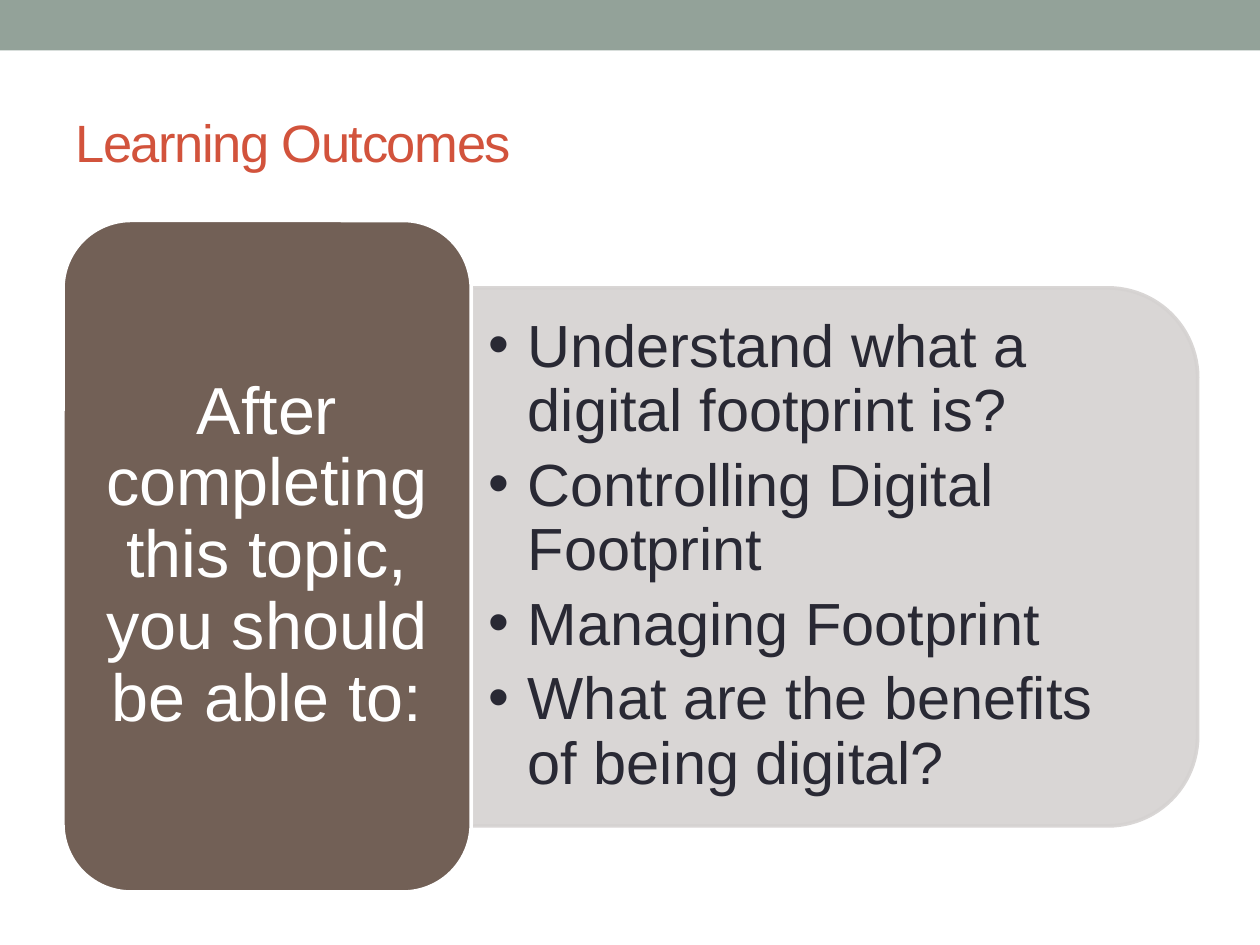
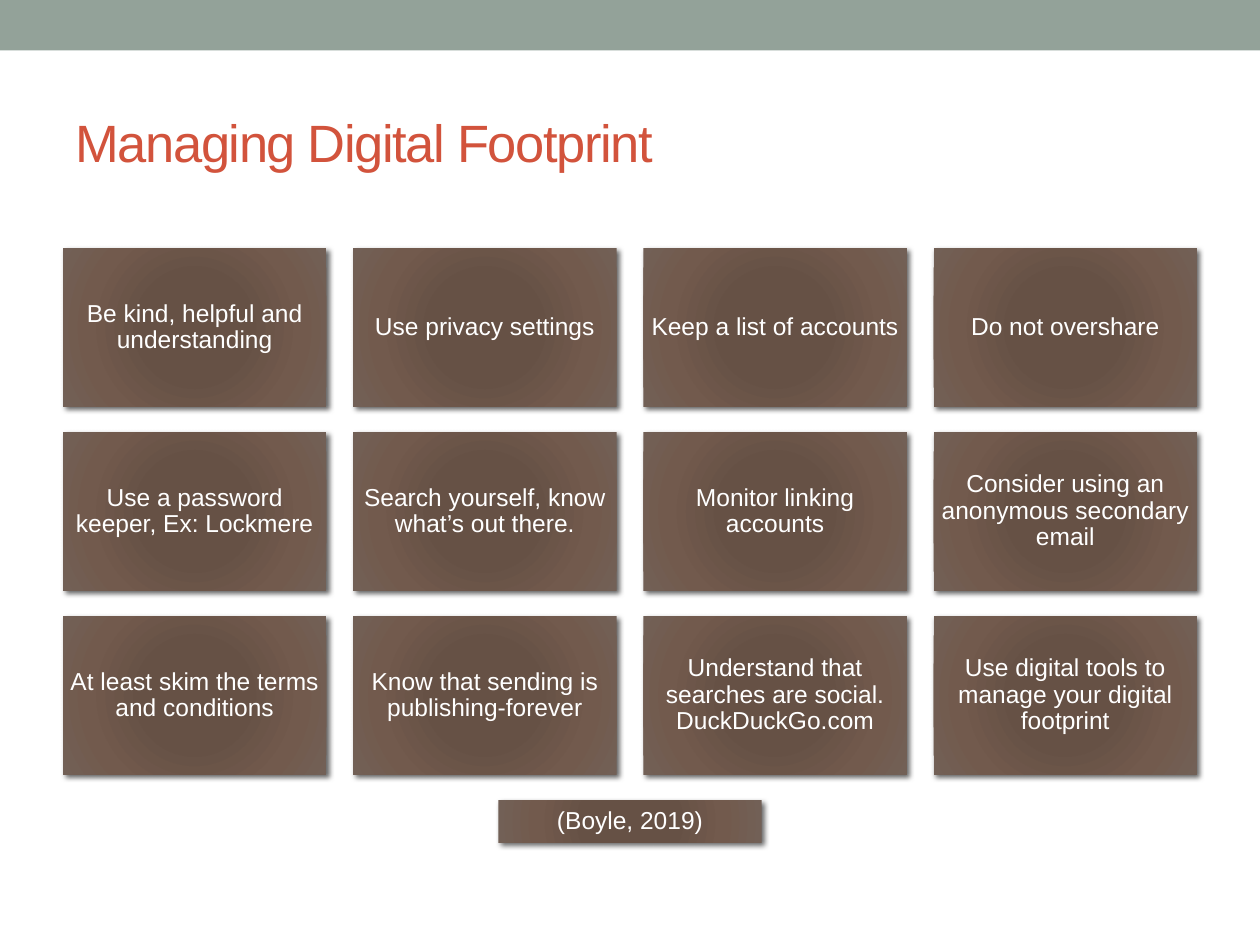
import pptx
import pptx.util
import pptx.oxml
import pptx.oxml.ns
import pptx.dml.color
import pptx.enum.shapes
import pptx.enum.text

Inches = pptx.util.Inches
Pt = pptx.util.Pt
RGBColor = pptx.dml.color.RGBColor
SHAPE = pptx.enum.shapes.MSO_SHAPE
ALIGN = pptx.enum.text.PP_ALIGN
MIDDLE = pptx.enum.text.MSO_ANCHOR.MIDDLE

FONT = "Arial"
WHITE = RGBColor(0xFF, 0xFF, 0xFF)
SAGE = RGBColor(0x93, 0xA2, 0x99)
RUST = RGBColor(0xD2, 0x53, 0x3C)
BROWN = RGBColor(0x72, 0x60, 0x56)
PALE = RGBColor(0xD5, 0xD2, 0xD1)
INK = RGBColor(0x29, 0x29, 0x34)
TILE_STOPS = [
    (0, RGBColor(0x68, 0x50, 0x44)),
    (34, RGBColor(0x66, 0x51, 0x45)),
    (70, RGBColor(0x72, 0x5A, 0x4D)),
    (100, BROWN),
]

MARGIN, CONTENT_W = 0.5, 9
TILE_W, TILE_H, TILE_TOP = 2.09, 1.26, 1.97
COLUMNS = 4
COLUMN_STEP = (CONTENT_W - TILE_W) / (COLUMNS - 1)
ROW_STEP = 1.46

OUTCOMES = [
    "Understand what a digital footprint is?",
    "Controlling Digital Footprint",
    "Managing Footprint",
    "What are the benefits of being digital?",
]
TIPS = [
    "Be kind, helpful and understanding",
    "Use privacy settings",
    "Keep a list of accounts",
    "Do not overshare",
    "Use a password keeper, Ex: Lockmere",
    "Search yourself, know what’s out there.",
    "Monitor linking accounts",
    "Consider using an anonymous secondary email",
    "At least skim the terms and conditions",
    "Know that sending is publishing-forever",
    "Understand that searches are social. DuckDuckGo.com",
    "Use digital tools to manage your digital footprint",
]


def xml(body):
    """Parse one DrawingML element written with the a: prefix."""
    return pptx.oxml.parse_xml(body.replace(">", f" {pptx.oxml.ns.nsdecls('a')}>", 1))


def set_attributes(target, values):
    """Set each named attribute of target."""
    for name, value in values.items():
        setattr(target, name, value)


def add_shape(slide, kind, box, fill=None, line=None):
    """Add a flat preset shape with an optional solid fill and outline."""
    s = slide.shapes.add_shape(kind, *map(Inches, box))
    s.shadow.inherit = False
    if fill is not None:
        s.fill.solid()
        s.fill.fore_color.rgb = fill
    if line is None:
        s.line.fill.background()
    else:
        s.line.color.rgb = line
        s.line.width = Pt(2.08)
    return s


def write(sp, texts, size, color, insets=(0.1, 0.05), align=ALIGN.CENTER,
          spacing=0.9, bullet=False, tracking=None):
    """Write one paragraph per text, centred vertically in the shape."""
    tf = sp.text_frame
    side, top = map(Inches, insets)
    set_attributes(tf, {
        "word_wrap": True, "vertical_anchor": MIDDLE,
        "margin_left": side, "margin_right": side,
        "margin_top": top, "margin_bottom": top,
    })
    for i, text in enumerate(texts):
        p = tf.add_paragraph() if i else tf.paragraphs[0]
        set_attributes(p, {"alignment": align, "line_spacing": spacing})
        if bullet:
            set_attributes(p, {"level": 1, "space_after": Pt(6)})
            pPr = p._p.get_or_add_pPr()
            pPr.set("marL", str(Inches(0.31)))
            pPr.set("indent", str(-Inches(0.31)))
            pPr.append(xml('<a:buFont typeface="Arial"/>'.replace("/>", "></a:buFont>")))
            pPr.append(xml('<a:buChar char="•"></a:buChar>'))
        r = p.add_run()
        r.text = text
        set_attributes(r.font, {"name": FONT, "size": Pt(size)})
        r.font.color.rgb = color
        if tracking is not None:
            r._r.get_or_add_rPr().set("spc", str(tracking))


def add_titled_slide(prs, title):
    """Add a blank slide with the top band and its title."""
    slide = prs.slides.add_slide(prs.slide_layouts[6])
    add_shape(slide, SHAPE.RECTANGLE, (0, 0, 10, 0.4), SAGE)
    box = slide.shapes.add_textbox(*map(Inches, (MARGIN, 0.58, CONTENT_W, 1.08)))
    write(box, [title], 30, RUST, align=ALIGN.LEFT, spacing=1.0, tracking=-80)
    return slide


def add_outcome_panel(slide, outcomes):
    """Add the pale panel, rounded on its right, with the bulleted outcomes."""
    s = add_shape(slide, SHAPE.ROUND_2_SAME_RECTANGLE, (4.49, 1.54, 4.27, 5.76), PALE, PALE)
    s.rotation = 90
    for color in s._element.spPr.iter(pptx.oxml.ns.qn("a:srgbClr")):
        color.append(xml('<a:alpha val="90000"></a:alpha>'))
    box = slide.shapes.add_textbox(*map(Inches, (3.74, 2.49, 5.55, 3.85)))
    write(box, outcomes, 34, INK, (0.14, 0.07), ALIGN.LEFT, bullet=True)


def add_tile(slide, text, left, top, height=TILE_H):
    """Add a shaded tile with a soft shadow and centred text."""
    s = add_shape(slide, SHAPE.RECTANGLE, (left, top, TILE_W, height))
    stops = "".join(
        f'<a:gs pos="{pos * 1000}"><a:srgbClr val="{color}"/></a:gs>'
        for pos, color in TILE_STOPS)
    spPr = s._element.spPr
    spPr.find(pptx.oxml.ns.qn("a:prstGeom")).addnext(xml(
        f'<a:gradFill><a:gsLst>{stops}</a:gsLst><a:path path="circle">'
        '<a:fillToRect l="100000" t="100000" r="100000" b="100000"/>'
        '</a:path></a:gradFill>'))
    spPr.find(pptx.oxml.ns.qn("a:effectLst")).append(xml(
        f'<a:outerShdw blurRad="{Pt(3)}" dist="{Pt(2)}" dir="2700000">'
        '<a:srgbClr val="000000"><a:alpha val="60000"/></a:srgbClr></a:outerShdw>'))
    write(s, [text], 14, WHITE, (0.05, 0.06))


def build_outcomes(prs):
    """Build the learning outcomes slide."""
    slide = add_titled_slide(prs, "Learning Outcomes")
    add_outcome_panel(slide, OUTCOMES)
    s = add_shape(slide, SHAPE.ROUNDED_RECTANGLE, (MARGIN, 1.75, 3.24, 5.33), BROWN, WHITE)
    write(s, ["After completing this topic, you should be able to:"], 38, WHITE, (0.16, 0.08))


def build_tips(prs):
    """Build the grid of tips with the citation centred under it."""
    slide = add_titled_slide(prs, "Managing Digital Footprint")
    for i, tip in enumerate(TIPS):
        row, column = divmod(i, COLUMNS)
        add_tile(slide, tip, MARGIN + column * COLUMN_STEP, TILE_TOP + row * ROW_STEP)
    rows = len(TIPS) // COLUMNS
    add_tile(slide, "(Boyle, 2019)", (10 - TILE_W) / 2, TILE_TOP + rows * ROW_STEP, 0.34)


def main():
    """Build and save the presentation."""
    prs = pptx.Presentation()
    set_attributes(prs, {"slide_width": Inches(10), "slide_height": Inches(7.5)})
    build_outcomes(prs)
    build_tips(prs)
    prs.save("out.pptx")


if __name__ == "__main__":
    main()
